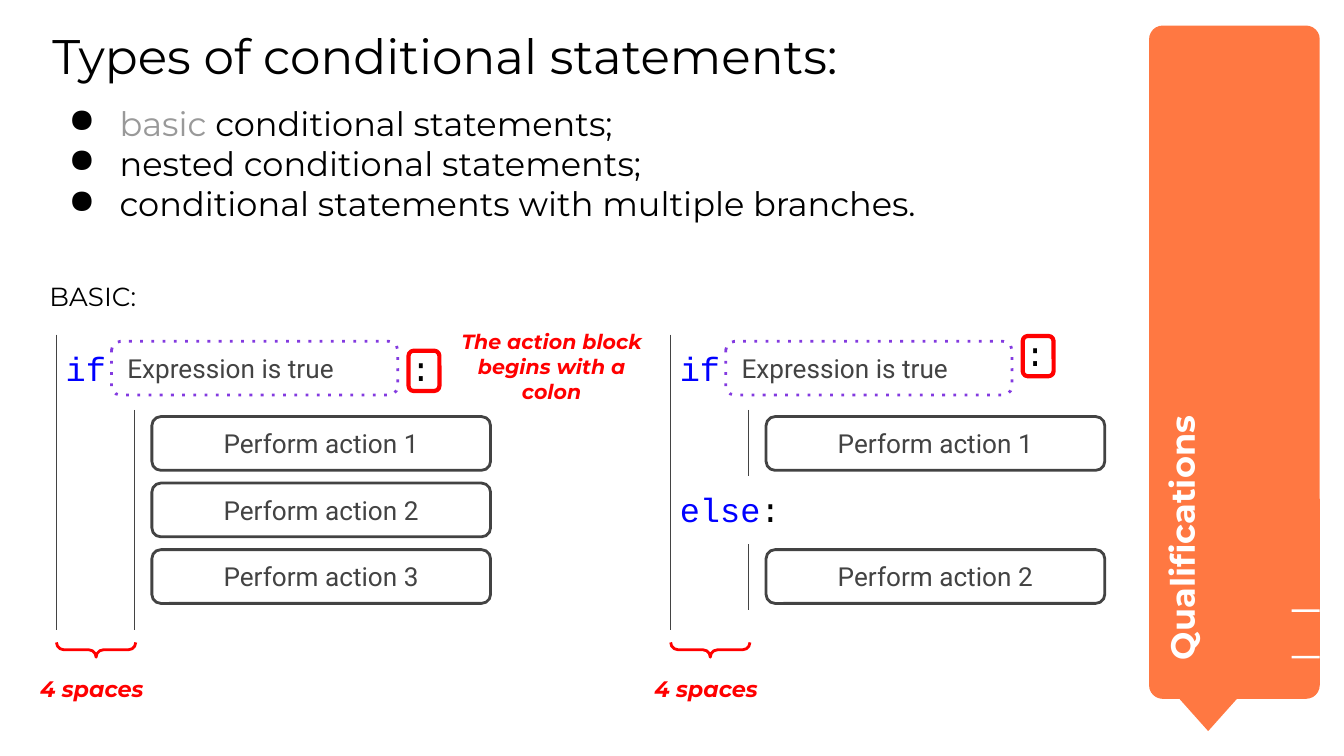
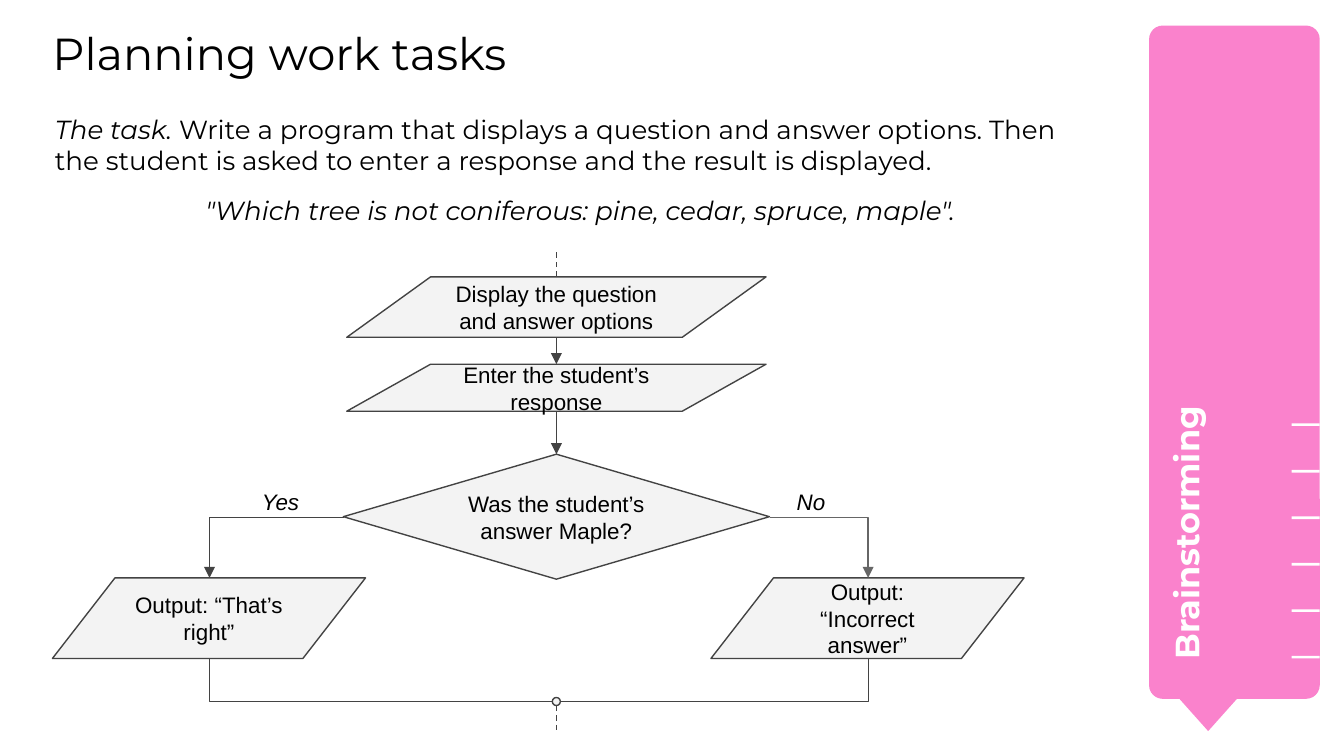
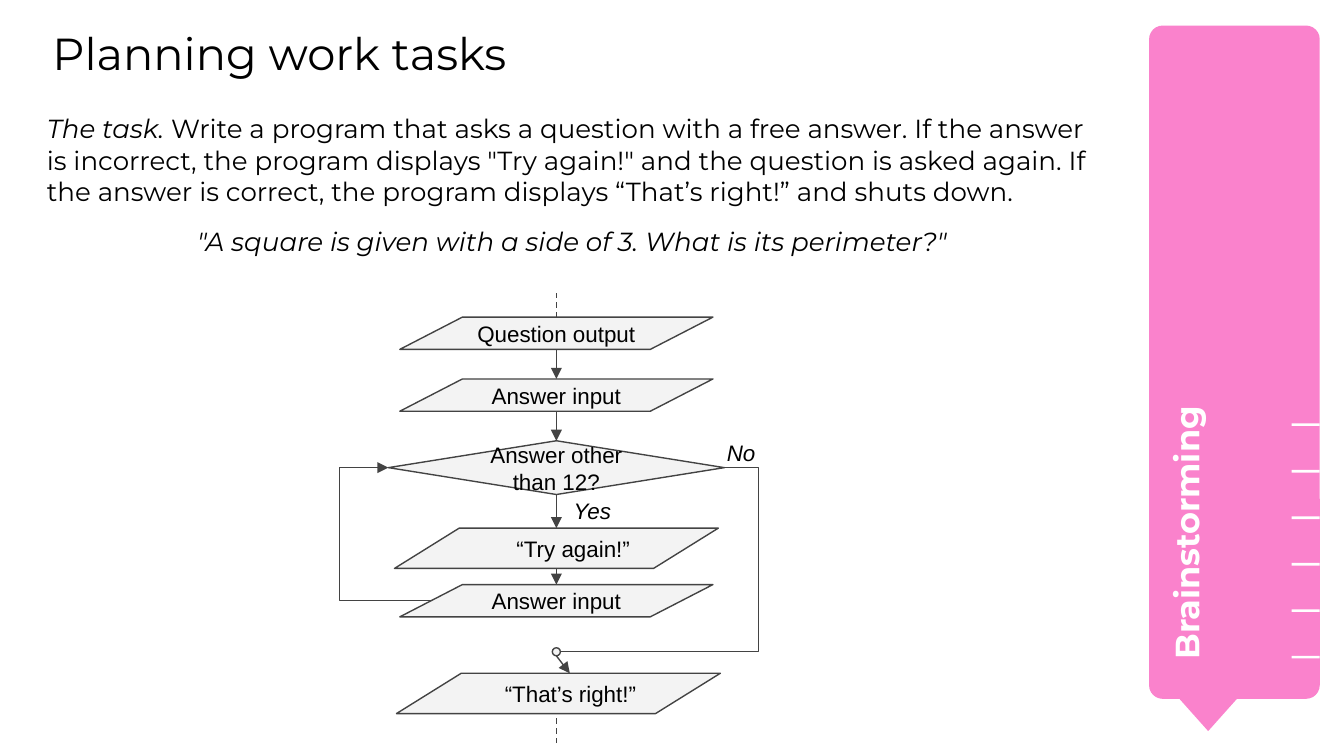
from dataclasses import dataclass
from typing import Optional

from lxml import etree
from pptx import Presentation
from pptx import util as u
from pptx.dml.color import RGBColor
from pptx.enum import shapes, text
from pptx.oxml.ns import qn

COLUMNS, ROWS = 100, 56.25  # square cells covering the slide
CELL = u.Inches(0.1)
COLORS = {
    "black": "000000", "white": "FFFFFF", "muted": "999999", "ink": "434343",
    "grey": "666666", "node": "F3F3F3", "orange": "FF7842", "pink": "FA82CC",
    "red": "FF0000", "blue": "0000FF", "violet": "833AE0",
}
KIND = shapes.MSO_SHAPE
CENTER, LEFT = text.PP_ALIGN.CENTER, text.PP_ALIGN.LEFT
TOP, MIDDLE = text.MSO_ANCHOR.TOP, text.MSO_ANCHOR.MIDDLE


@dataclass(frozen=True)
class Frame:
    left: float
    top: float
    width: float
    height: float

    def place(self) -> tuple:
        return tuple(cells(n) for n in (self.left, self.top, self.width, self.height))


@dataclass(frozen=True)
class Style:
    font: str
    size: float
    color: str = "black"
    bold: bool = False
    italic: bool = False


@dataclass(frozen=True)
class Para:
    spans: tuple  # (wording, Style) pairs
    align: text.PP_ALIGN = LEFT
    before: float = 0
    after: float = 0
    bullet: bool = False


@dataclass(frozen=True)
class Outline:
    color: str = "ink"
    width: float = 0.75
    dash: str = ""


@dataclass(frozen=True)
class Band:
    label: str
    color: str
    label_frame: Frame
    ticks: int


@dataclass(frozen=True)
class Node:
    kind: shapes.MSO_SHAPE
    frame: Frame
    wording: str = ""


@dataclass(frozen=True)
class Link:
    """A line; corner turns once (across, then up or down), detour twice."""
    start: tuple
    end: tuple
    arrow: bool = False
    dash: str = ""
    corner: bool = False
    detour: Optional[float] = None
    color: str = "ink"


@dataclass(frozen=True)
class Branch:
    left: float
    colon_top: float
    actions: tuple  # (row number, wording) pairs
    guides: tuple  # (top, bottom) of each indent line


HEADING = Style("Montserrat", 26)
SUBHEADING = Style("Montserrat", 24)
BULLET = Style("Montserrat", 18)
MUTED = Style("Montserrat", 18, "muted")
BODY = Style("Montserrat", 14)
QUOTE = Style("Montserrat", 14, italic=True)
BAND = Style("Montserrat", 18, "white", bold=True)
SPACES = Style("Montserrat", 12, "red", bold=True, italic=True)
REMARK = Style("Montserrat", 11, "red", bold=True, italic=True)
CODE = Style("Courier New", 18)
KEYWORD = Style("Courier New", 18, "blue")
ACTION = Style("Roboto", 14, "ink")
STEP = Style("Arial", 12)
ANSWER = Style("Arial", 12, italic=True)

QUALIFICATIONS = Band("Qualifications", "orange", Frame(70.9, 26.4, 38.2, 9.2), 2)
BRAINSTORMING = Band("Brainstorming", "pink", Frame(71.4, 29, 35.4, 6.7), 6)

AXIS = 41.4  # centre column of both flowcharts
IO, DECISION, JOINT = KIND.FLOWCHART_DATA, KIND.FLOWCHART_DECISION, KIND.OVAL


def cells(count: float) -> int:
    return round(count * CELL)


def rgb(name: str) -> RGBColor:
    return RGBColor.from_string(COLORS[name])


def one(wording: str, style: Style, align=LEFT) -> list:
    return [Para(((wording, style),), align)]


def write(shape, paras: list, anchor=TOP, inset: float = 1) -> None:
    frame = shape.text_frame
    frame.word_wrap = True
    frame.auto_size = text.MSO_AUTO_SIZE.NONE
    frame.vertical_anchor = anchor
    frame.margin_left = frame.margin_right = cells(inset)
    frame.margin_top = frame.margin_bottom = cells(inset)
    for number, para in enumerate(paras):
        line = frame.add_paragraph() if number else frame.paragraphs[0]
        line.alignment = para.align
        line.space_before, line.space_after = u.Pt(para.before), u.Pt(para.after)
        if para.bullet:
            add_bullet(line)
        for wording, style in para.spans:
            span = line.add_run()
            span.text = wording
            font = span.font
            font.name, font.size = style.font, u.Pt(style.size)
            font.bold, font.italic = style.bold, style.italic
            font.color.rgb = rgb(style.color)


def add_bullet(line) -> None:
    properties = line._p.get_or_add_pPr()
    properties.set("marL", str(cells(5)))
    properties.set("indent", str(cells(-3.8)))
    color = etree.SubElement(properties, qn("a:buClr"))
    etree.SubElement(color, qn("a:srgbClr"), val=COLORS["black"])
    etree.SubElement(properties, qn("a:buChar"), char="●")


def draw_line(shape, outline: Outline):
    """Format the line of a shape or connector and return its XML element."""
    shape.line.color.rgb = rgb(outline.color)
    shape.line.width = u.Pt(outline.width)
    element = shape._element.spPr.find(qn("a:ln"))
    if outline.dash:
        etree.SubElement(element, qn("a:prstDash"), val=outline.dash)
    return element


def add_shape(parent, kind, frame: Frame, fill: str = "",
              outline: Optional[Outline] = None, adjust: tuple = ()):
    shape = parent.shapes.add_shape(kind, *frame.place())
    shape.shadow.inherit = False
    for number, value in enumerate(adjust):
        shape.adjustments[number] = value
    if fill:
        shape.fill.solid()
        shape.fill.fore_color.rgb = rgb(fill)
    else:
        shape.fill.background()
    if outline:
        draw_line(shape, outline)
    else:
        shape.line.fill.background()
    return shape


def add_text(page, frame: Frame, paras: list, anchor=TOP):
    box = page.shapes.add_textbox(*frame.place())
    write(box, paras, anchor)
    return box


def add_link(page, link: Link) -> None:
    bent = link.corner or link.detour is not None
    kind = shapes.MSO_CONNECTOR.ELBOW if bent else shapes.MSO_CONNECTOR.STRAIGHT
    line = page.shapes.add_connector(kind, *(cells(n) for n in link.start + link.end))
    properties = line._element.spPr
    geometry = properties.find(qn("a:prstGeom"))
    if link.corner:
        geometry.set("prst", "bentConnector2")
    elif bent:
        etree.SubElement(geometry.find(qn("a:avLst")), qn("a:gd"), name="adj1",
                         fmla=f"val {round(link.detour * 100000)}")
    element = draw_line(line, Outline(link.color, dash=link.dash))
    if link.arrow:
        etree.SubElement(element, qn("a:tailEnd"), type="triangle")
    etree.SubElement(properties, qn("a:effectLst"))


def add_band(page, band: Band) -> None:
    group = page.shapes.add_group_shape()
    add_shape(group, KIND.ROUNDED_RECTANGLE, Frame(85.5, 1.9, 12.7, 50.1),
              band.color, adjust=(0.08,))
    add_shape(group, KIND.FLOWCHART_MERGE, Frame(86.6, 50.7, 6.6, 3.7), band.color)
    for number in range(band.ticks):
        add_shape(page, KIND.RECTANGLE,
                  Frame(96.1, 48.8 - 3.46 * number, 2.1, 0.2), "white")
    add_text(page, band.label_frame, one(band.label, BAND)).rotation = 270


def add_page(deck, band: Band, title: list, height: float):
    page = deck.slides.add_slide(deck.slide_layouts[5])
    box = page.shapes.title
    box.left, box.top, box.width, box.height = Frame(3.9, 1.9, 77.5, height).place()
    write(box, title, inset=0)
    add_band(page, band)
    return page


def add_branch(page, branch: Branch) -> None:
    """Draw one if-statement scheme with its indent marks."""
    left = branch.left
    add_text(page, Frame(left, 24.9, 5.3, 5.1), one("if", KEYWORD))
    condition = add_shape(page, KIND.ROUNDED_RECTANGLE, Frame(left + 4.4, 25.4, 21.3, 4),
                          outline=Outline("violet", 1.5, "dot"))
    write(condition, one("Expression is true", ACTION), MIDDLE)
    add_text(page, Frame(left + 25.7, branch.colon_top, 5.3, 5.1), one(":", CODE))
    for row, wording in branch.actions:
        action = add_shape(page, KIND.ROUNDED_RECTANGLE,
                           Frame(left + 7.4, 31 + 4.95 * row, 25.2, 4),
                           outline=Outline(width=1.5))
        write(action, one(wording, ACTION, CENTER), MIDDLE)
    add_link(page, Link((left + 0.3, 24.9), (left + 0.3, 46.9)))
    for top, bottom in branch.guides:
        add_link(page, Link((left + 6.1, top), (left + 6.1, bottom)))
    brace = add_shape(page, KIND.RIGHT_BRACE, Frame(left + 2.7, 45.4, 1.1, 5.9),
                      outline=Outline("red", 1.5), adjust=(0.5, 0.5))
    brace.rotation = 90
    add_text(page, Frame(left - 1.9, 49.2, 11.5, 5.1), one("4 spaces", SPACES))
    add_shape(page, KIND.ROUNDED_RECTANGLE,
              Frame(left + 26.5, branch.colon_top + 1.2, 2.3, 3),
              outline=Outline("red", 2.25))


def add_types_page(deck) -> None:
    title = one("Types of conditional statements:", HEADING) + [
        Para((("basic", MUTED), (" conditional statements;", BULLET)),
             before=10, bullet=True),
        Para((("nested conditional statements;", BULLET),), bullet=True),
        Para((("conditional statements with multiple branches.", BULLET),), bullet=True),
    ]
    page = add_page(deck, QUALIFICATIONS, title, 12)
    first, second, third = (f"Perform action {number}" for number in (1, 2, 3))
    add_branch(page, Branch(3.9, 24.9, ((0, first), (1, second), (2, third)),
                            ((30.5, 46.9),)))
    add_branch(page, Branch(49.6, 23.8, ((0, first), (2, second)),
                            ((30.5, 35.4), (40.5, 45.4))))
    add_text(page, Frame(49.6, 35.4, 8.9, 5.1), one("else", KEYWORD))
    add_text(page, Frame(55.6, 35.4, 5.3, 5.1), one(":", CODE))
    add_text(page, Frame(33.2, 23.5, 15.7, 4),
             one("The action block begins with a colon", REMARK, CENTER))
    add_text(page, Frame(2.7, 19.9, 30, 4), one("BASIC:", BODY))


def add_task_page(deck, frame: Frame, task: str, question: str,
                  nodes: list, links: list):
    page = add_page(deck, BRAINSTORMING, one("Planning work tasks", SUBHEADING), 6)
    for node in nodes:
        shape = add_shape(page, node.kind, node.frame, "node", Outline())
        if node.wording:
            write(shape, one(node.wording, STEP, CENTER), MIDDLE)
    for link in links:
        add_link(page, link)
    add_text(page, frame, [
        Para((("The task. ", QUOTE), (task, BODY))),
        Para(((question, QUOTE),), CENTER, before=10, after=10),
    ])
    return page


def centered(top: float, width: float, height: float) -> Frame:
    return Frame(AXIS - width / 2, top, width, height)


def down(top: float, bottom: float) -> Link:
    return Link((AXIS, top), (AXIS, bottom), arrow=True)


def dashed(top: float, bottom: float) -> Link:
    return Link((AXIS, top), (AXIS, bottom), dash="dash")


def add_choice_page(deck) -> None:
    nodes = [
        Node(IO, centered(20.6, 31.2, 4.5), "Display the question and answer options"),
        Node(IO, centered(27.1, 31.2, 3.5), "Enter the student’s response"),
        Node(DECISION, centered(33.8, 31.7, 9.3), "Was the student’s answer Maple?"),
        Node(IO, Frame(3.9, 43, 23.3, 6), "Output: “That’s right”"),
        Node(IO, Frame(52.9, 43, 23.3, 6), "Output: “Incorrect answer”"),
        Node(JOINT, centered(51.9, 0.6, 0.6)),
    ]
    yes, no = 15.6, 64.6
    links = [
        down(30.6, 33.8), down(25.1, 27.1),
        Link((25.6, 38.5), (yes, 43), arrow=True, corner=True),
        Link((57.3, 38.5), (no, 43), arrow=True, corner=True, color="grey"),
        Link((41.1, 52.2), (yes, 49), corner=True),
        Link((41.7, 52.2), (no, 49), corner=True),
        dashed(52.5, 54.3), dashed(20.6, 18.7),
    ]
    page = add_task_page(
        deck, Frame(3.1, 7.4, 80.2, 10.9),
        "Write a program that displays a question and answer options. Then the "
        "student is asked to enter a response and the result is displayed.",
        '"Which tree is not coniferous: pine, cedar, spruce, maple".', nodes, links)
    add_text(page, Frame(18.5, 35.3, 5.1, 2.4), one("Yes", ANSWER))
    add_text(page, Frame(58.3, 35.3, 5.6, 2.4), one("No", ANSWER))


def add_loop_page(deck) -> None:
    nodes = [
        Node(IO, centered(23.6, 23.3, 2.4), "Question output"),
        Node(IO, centered(39.3, 24.1, 3)),
        Node(JOINT, centered(48.2, 0.6, 0.6)),
        Node(DECISION, centered(32.8, 25, 4), "Answer other than 12?"),
        Node(IO, centered(28.2, 23.3, 2.4), "Answer input"),
        Node(IO, centered(43.5, 23.3, 2.4), "Answer input"),
        Node(IO, Frame(29.5, 50.1, 24.1, 3)),
    ]
    links = [
        dashed(23.6, 21.8), down(26, 28.2), down(30.6, 32.8),
        Link((53.9, 34.8), (41.7, 48.5), detour=-0.21),
        Link((AXIS, 48.8), (42.4, 50.1), arrow=True),
        Link((32.1, 44.7), (28.9, 34.8), arrow=True, detour=2.13),
        down(36.8, 39.3), down(42.3, 43.5), dashed(55.3, 53.4),
    ]
    page = add_task_page(
        deck, Frame(2.5, 7.4, 80.2, 14.6),
        "Write a program that asks a question with a free answer. If the answer is "
        'incorrect, the program displays "Try again!" and the question is asked '
        "again. If the answer is correct, the program displays “That’s right!” and "
        "shuts down.",
        '"A square is given with a side of 3. What is its perimeter?"', nodes, links)
    add_text(page, Frame(41.7, 36.8, 5.6, 2.4), one("Yes", ANSWER), MIDDLE)
    add_text(page, Frame(53.1, 31.7, 5.6, 2.4), one("No", ANSWER))
    add_text(page, Frame(32.7, 39.6, 19.9, 2.4), one("“Try again!”", STEP, CENTER), MIDDLE)
    add_text(page, Frame(32.5, 50.1, 19.9, 3), one("“That’s right!”", STEP, CENTER), MIDDLE)


def main() -> None:
    deck = Presentation()
    deck.slide_width, deck.slide_height = cells(COLUMNS), cells(ROWS)
    add_types_page(deck)
    add_choice_page(deck)
    add_loop_page(deck)
    deck.save("out.pptx")


if __name__ == "__main__":
    main()
